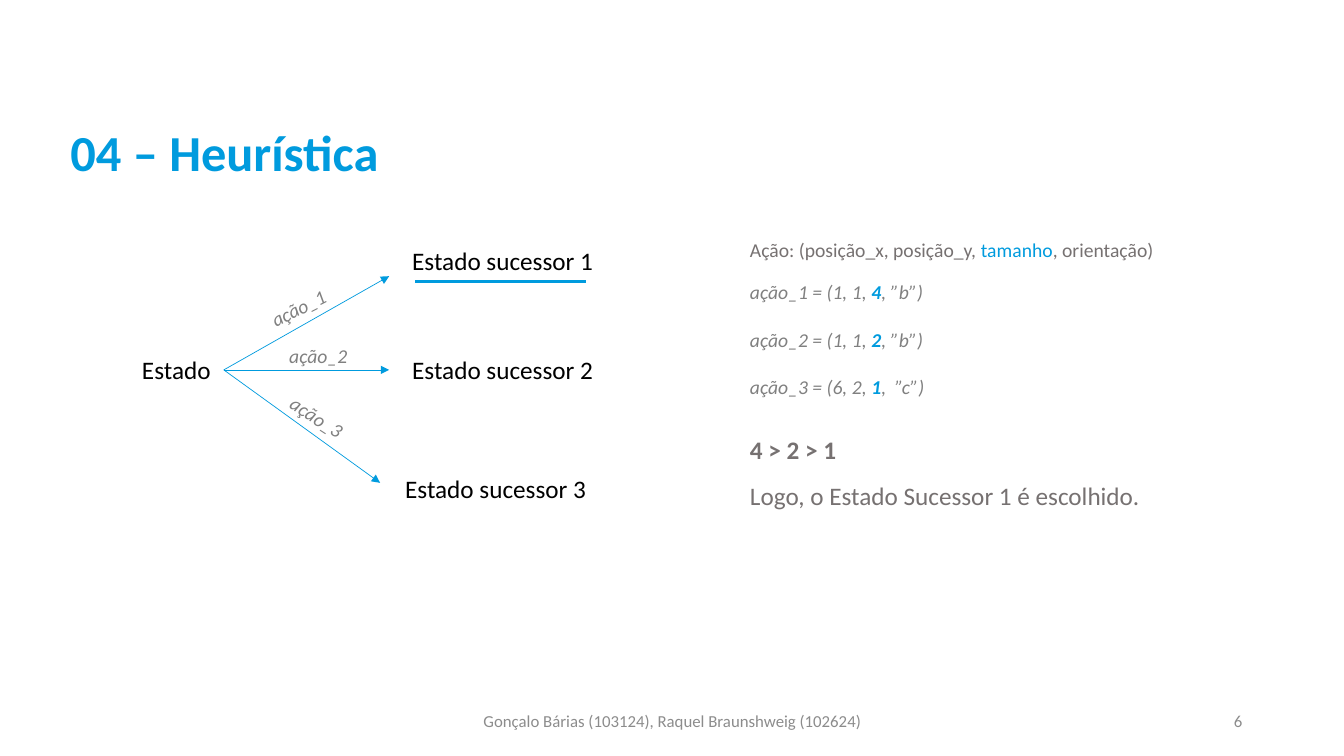
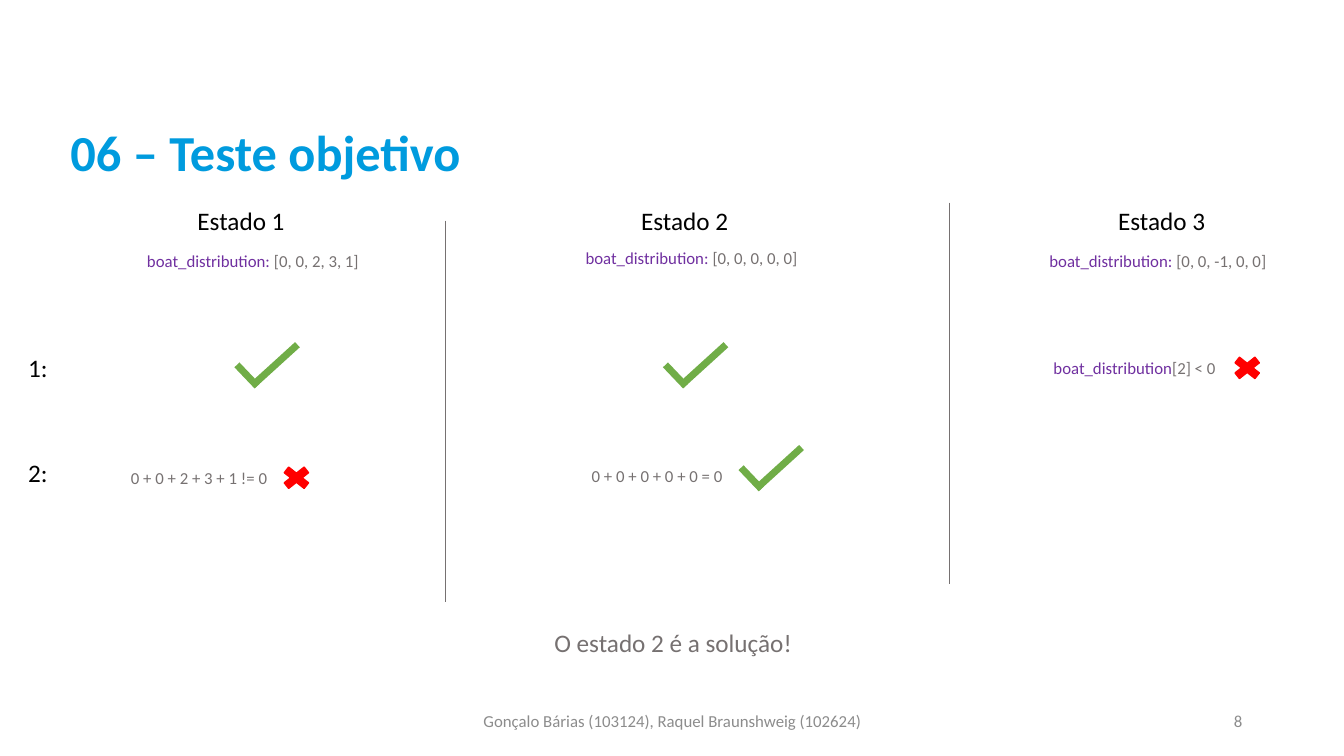
"""Builds two slides on search heuristics and goal tests."""
from dataclasses import dataclass

from lxml import etree
from pptx import Presentation
from pptx import util as u
from pptx.dml.color import RGBColor
from pptx.enum import shapes, text
from pptx.oxml.ns import qn


@dataclass(frozen=True)
class Theme:
    """Colours, font and type sizes of the presentation."""
    font: str = "Calibri"
    accent: str = "009BDE"
    ink: str = "000000"
    body: str = "767171"
    muted: str = "808080"
    footer: str = "8C8C8C"
    code: str = "7030A0"
    right: str = "70AD47"
    wrong: str = "FF0000"
    title_size: int = 36
    text_size: int = 18
    detail_size: int = 14
    small_size: int = 12


THEME = Theme()
ALIGN = text.PP_ALIGN
AUTHORS = "Gonçalo Bárias (103124), Raquel Braunshweig (102624)"


def add_text(slide, at, paragraphs, size=THEME.text_size, color=THEME.ink,
             align=ALIGN.LEFT, gap=0, wrap=True, middle=False, rotation=0, **style):
    """Add a text box; a paragraph is a string or a list of (text, overrides)."""
    box = slide.shapes.add_textbox(*map(u.Inches, at))
    box.rotation = rotation
    frame = box.text_frame
    frame.word_wrap = wrap
    frame.vertical_anchor = text.MSO_ANCHOR.MIDDLE if middle else text.MSO_ANCHOR.TOP
    for index, content in enumerate(paragraphs):
        paragraph = frame.add_paragraph() if index else frame.paragraphs[0]
        paragraph.alignment = align
        paragraph.space_before = u.Pt(gap if index else 0)
        for words, overrides in [(content, {})] if isinstance(content, str) else content:
            look = {"name": THEME.font, "size": u.Pt(size), "color": color, **style, **overrides}
            run = paragraph.add_run()
            run.text = words
            run.font.color.rgb = RGBColor.from_string(look.pop("color"))
            for key, value in look.items():
                setattr(run.font, key, value)
    return box


def add_line(slide, start, end, color, width, arrow=False):
    """Add a straight line without shadow, with an optional arrowhead."""
    line = slide.shapes.add_connector(
        shapes.MSO_CONNECTOR.STRAIGHT, *map(u.Inches, (*start, *end)))
    line.line.color.rgb = RGBColor.from_string(color)
    line.line.width = u.Pt(width)
    if arrow:
        etree.SubElement(line.line._get_or_add_ln(), qn("a:tailEnd"), type="triangle")
    etree.SubElement(line._element.spPr, qn("a:effectLst"))
    return line


def add_check(slide, left, top):
    """Add a tick made of two strokes."""
    for start, end in (((0, 0.2), (0.2, 0.41)), ((0.6, 0), (0.16, 0.4))):
        add_line(slide, (left + start[0], top + start[1]),
                 (left + end[0], top + end[1]), THEME.right, 5)


def add_cross(slide, left, top):
    """Add a red cross."""
    cross = slide.shapes.add_shape(
        shapes.MSO_SHAPE.MATH_MULTIPLY, *map(u.Inches, (left, top, 0.38, 0.3)))
    cross.shadow.inherit = False
    cross.fill.solid()
    cross.fill.fore_color.rgb = cross.line.color.rgb = RGBColor.from_string(THEME.wrong)
    cross.line.width = u.Pt(1)


def add_small(slide, left, top, width, value, label=""):
    """Add a small unwrapped expression with an optional code label."""
    runs = [(label, {"color": THEME.code})] if label else []
    add_text(slide, (left, top, width, 0.3), [runs + [(value, {})]],
             THEME.small_size, THEME.body, wrap=False)


def new_slide(deck, title, page):
    """Add a blank slide with title and footer."""
    slide = deck.slides.add_slide(deck.slide_layouts[6])
    for at, words, align in (((4.42, 6.95, 4.5, 0.4), AUTHORS, ALIGN.CENTER),
                             ((9.42, 6.95, 3, 0.4), str(page), ALIGN.RIGHT)):
        add_text(slide, at, [words], THEME.small_size, THEME.footer, align, middle=True)
    add_text(slide, (0.6, 1.15, 4.88, 0.71), [title], THEME.title_size, THEME.accent, bold=True)
    return slide


def build_heuristic(deck):
    """Build the slide that ranks the successor states."""
    slide = new_slide(deck, "04 – Heurística", 6)
    state = add_text(slide, (1.31, 3.47, 0.91, 0.4), ["Estado"])
    branches = (
        ((3.86, 2.74), (2.57, 2.87), 332.9, (3.99, 2.38)),
        ((3.86, 3.67), (2.77, 3.36), 0, (3.99, 3.47)),
        ((3.77, 4.79), (2.75, 3.99), 32.8, (3.92, 4.65)),
    )
    for number, (tip, action, rotation, successor) in enumerate(branches, 1):
        arrow = add_line(slide, (2.22, 3.67), tip, THEME.accent, 0.5, arrow=True)
        arrow.begin_connect(state, 3)
        add_text(slide, (*action, 0.85, 0.34), [f"ação_{number}"], THEME.detail_size,
                 THEME.muted, rotation=rotation, italic=True)
        add_text(slide, (*successor, 2.1, 0.4), [f"Estado sucessor {number}"])
    add_line(slide, (4.12, 2.79), (5.81, 2.79), THEME.accent, 2.25)

    accent = {"color": THEME.accent}
    signature = [("Ação: (posição_x, posição_y, ", {}), ("tamanho", accent), (", orientação)", {})]
    add_text(slide, (7.34, 2.31, 4.23, 0.34), [signature], THEME.detail_size, THEME.body)
    actions = [
        [(f"ação_{number} = ({position}, ", {}), (size, {**accent, "bold": True}), (ending, {})]
        for number, (position, size, ending) in enumerate(
            (("1, 1", "4", ", ”b”)"), ("1, 1", "2", ", ”b”)"), ("6, 2", "1", ",  ”c”)")), 1)
    ]
    add_text(slide, (7.34, 2.73, 2.5, 1.28), actions, THEME.detail_size, THEME.muted,
             gap=17, italic=True)
    add_text(slide, (7.34, 4.26, 1.4, 0.4), ["4 > 2 > 1"], color=THEME.body, bold=True)
    add_text(slide, (7.34, 4.72, 4.23, 0.4), ["Logo, o Estado Sucessor 1 é escolhido."],
             color=THEME.body)


def build_goal_test(deck):
    """Build the slide that checks three states against the goal."""
    slide = new_slide(deck, "06 – Teste objetivo", 8)
    states = (
        (1.86, (1.36, 2.44, 2.33), "[0, 0, 2, 3, 1]"),
        (6.26, (5.71, 2.41, 2.33), "[0, 0, 0, 0, 0]"),
        (10.99, (10.31, 2.44, 2.46), "[0, 0, -1, 0, 0]"),
    )
    for number, (left, place, boats) in enumerate(states, 1):
        add_text(slide, (left, 1.99, 1.09, 0.4), [f"Estado {number}"])
        add_small(slide, *place, f" {boats}", "boat_distribution:")
    for number, top in enumerate((3.45, 4.49), 1):
        add_text(slide, (0.18, top, 0.43, 0.4), [f"{number}:"])
    for left, top in ((4.42, 2.19), (9.42, 2.01)):
        add_line(slide, (left, top), (left, top + 3.78), THEME.body, 0.5)

    add_small(slide, 10.35, 3.5, 1.82, "[2] < 0", "boat_distribution")
    add_small(slide, 1.2, 4.59, 1.58, "0 + 0 + 2 + 3 + 1 != 0")
    add_small(slide, 5.77, 4.57, 1.52, "0 + 0 + 0 + 0 + 0 = 0")
    for place in ((2.35, 3.42), (6.6, 3.42), (7.35, 4.44)):
        add_check(slide, *place)
    for place in ((12.18, 3.5), (2.75, 4.59)):
        add_cross(slide, *place)
    add_text(slide, (5.4, 6.17, 2.73, 0.4), ["O estado 2 é a solução!"], color=THEME.body)


def main():
    """Build and save the presentation."""
    deck = Presentation()
    deck.slide_width, deck.slide_height = u.Inches(13.33), u.Inches(7.5)
    build_heuristic(deck)
    build_goal_test(deck)
    deck.save("out.pptx")


if __name__ == "__main__":
    main()
